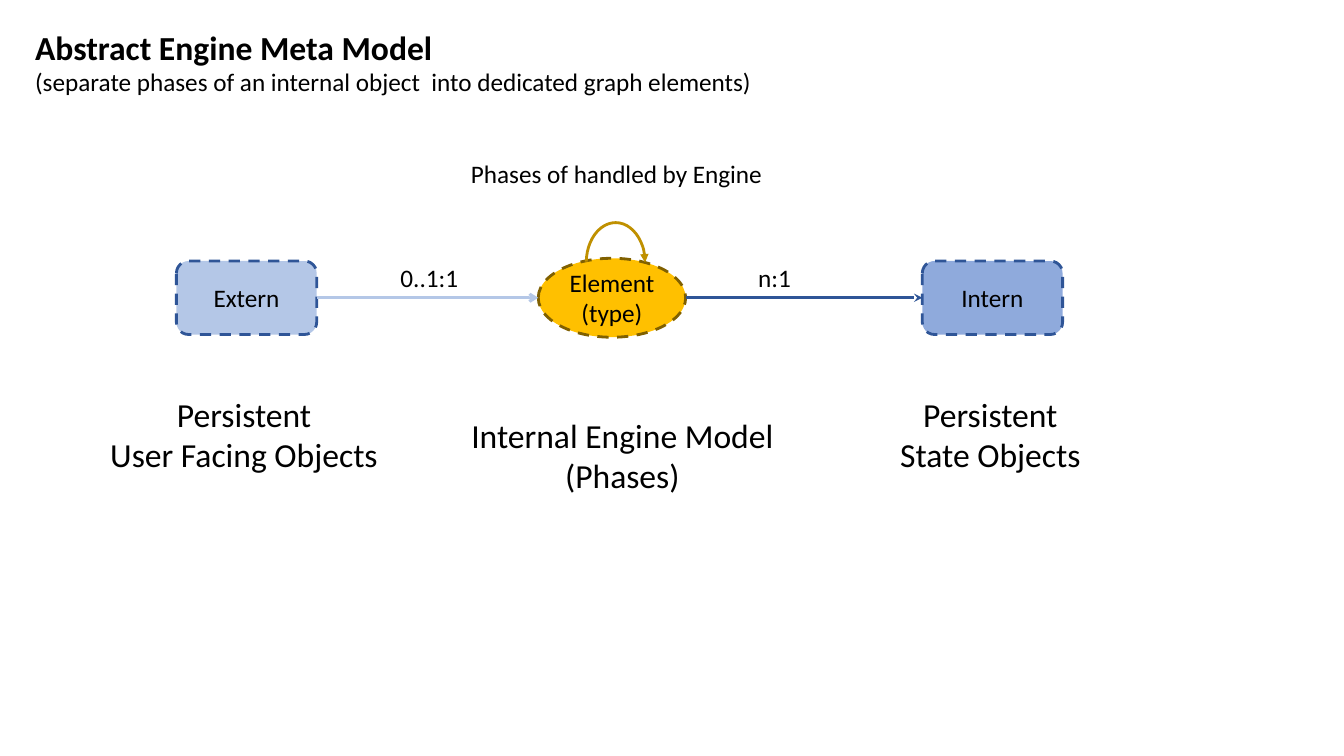
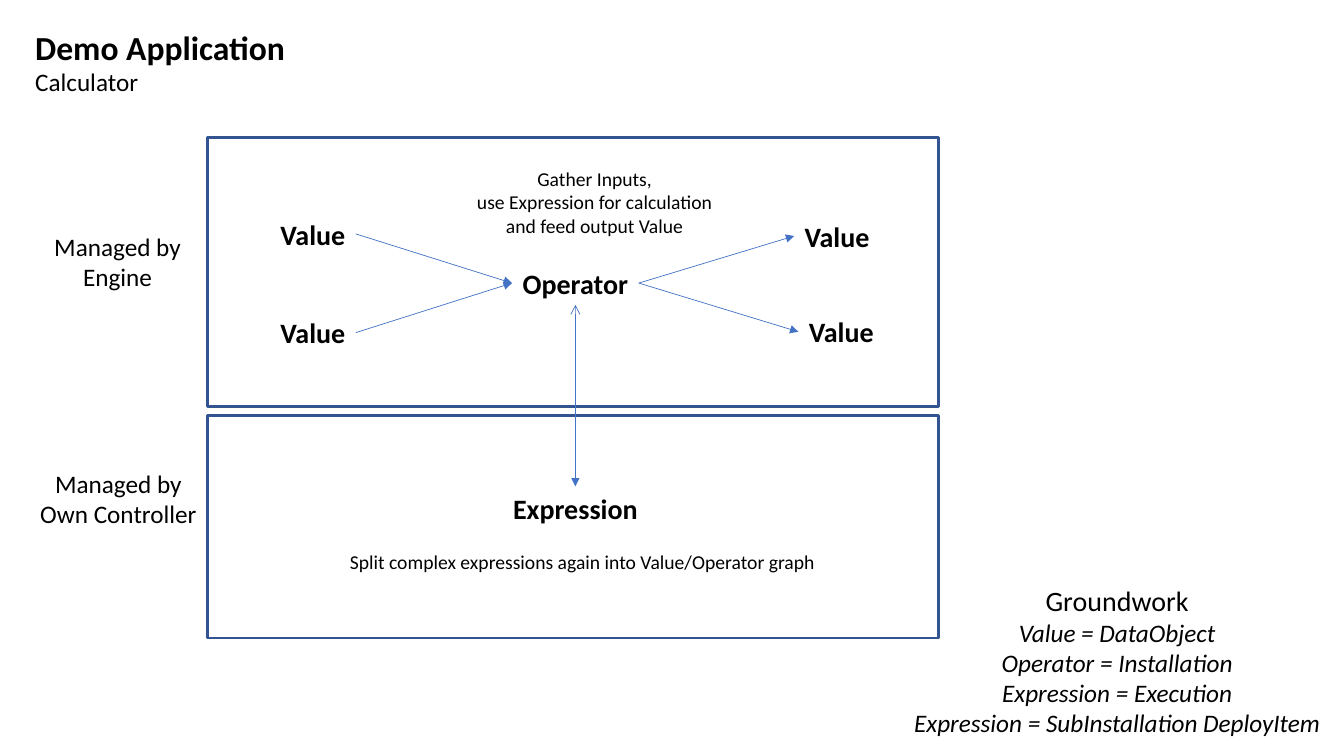
from pptx import Presentation
from pptx.dml.color import RGBColor
from pptx.enum.dml import MSO_LINE_DASH_STYLE as Dash
from pptx.enum.shapes import MSO_CONNECTOR, MSO_SHAPE as Form
from pptx.enum.text import MSO_ANCHOR, PP_ALIGN
from pptx.oxml.ns import qn
from pptx.util import Inches, Pt
from lxml.etree import SubElement

# Grid of 160 columns by 90 rows, twelve to the inch
COLUMNS, ROWS = 160, 90
TOP, LEFT, BOTTOM, RIGHT = range(4)

BLACK = RGBColor(0x00, 0x00, 0x00)
PALE_BLUE = RGBColor(0xB4, 0xC7, 0xE7)
MID_BLUE = RGBColor(0x8F, 0xAA, 0xDC)
DARK_BLUE = RGBColor(0x2F, 0x55, 0x97)
FRAME_BLUE = RGBColor(0x32, 0x54, 0x91)
ARROW_BLUE = RGBColor(0x44, 0x72, 0xC4)
AMBER = RGBColor(0xFF, 0xC0, 0x00)
BROWN = RGBColor(0x80, 0x60, 0x00)
GOLD = RGBColor(0xBF, 0x90, 0x00)


def grid(units):
    return Inches(units / 12)


class Deck:
    """Shared style and the slide being built; boxes are placed by centre."""

    font = "Calibri"
    heading, body = 24, 18

    def __init__(self):
        self.prs = Presentation()
        self.prs.slide_width, self.prs.slide_height = grid(COLUMNS), grid(ROWS)
        self.slide = None

    def new_slide(self, title, subtitle):
        self.slide = self.prs.slides.add_slide(self.prs.slide_layouts[6])
        header = self.label(f"{title}\n{subtitle}", COLUMNS / 2, 7.35, COLUMNS - 6)
        header.text_frame.word_wrap = True
        lines = header.text_frame.paragraphs
        for line in lines:
            line.alignment = PP_ALIGN.LEFT
        self.style(lines[0], self.heading, bold=True)

    def style(self, line, size, bold=False, italic=False):
        for run in line.runs:
            font = run.font
            font.name, font.size = self.font, Pt(size)
            font.bold, font.italic = bold, italic
            font.color.rgb = BLACK

    def fill_text(self, shape, text, size, bold=False, italic=False):
        frame = shape.text_frame
        frame.text = text
        frame.word_wrap = False
        frame.vertical_anchor = MSO_ANCHOR.MIDDLE
        for line in frame.paragraphs:
            line.alignment = PP_ALIGN.CENTER
            self.style(line, size, bold, italic)

    def label(self, text, col, row, cols, size=body, bold=False, italic=False):
        rows = 0.2 * size * len(text.split("\n")) + 1.2
        box = self.slide.shapes.add_textbox(
            grid(col - cols / 2), grid(row - rows / 2), grid(cols), grid(rows))
        self.fill_text(box, text, size, bold, italic)
        return box

    def outline(self, form, col, row, cols, rows, color, fill=None):
        shape = self.slide.shapes.add_shape(
            form, grid(col - cols / 2), grid(row - rows / 2), grid(cols), grid(rows))
        shape.shadow.inherit = False
        shape.line.color.rgb, shape.line.width = color, Pt(2)
        if fill is None:
            shape.fill.background()
        else:
            shape.fill.solid()
            shape.fill.fore_color.rgb = fill
        return shape

    def node(self, text, form, col, row, cols, rows, fill, color):
        shape = self.outline(form, col, row, cols, rows, color, fill)
        shape.line.dash_style = Dash.DASH
        frame = shape.text_frame
        frame.margin_left = frame.margin_right = 0
        frame.margin_top = frame.margin_bottom = 0
        self.fill_text(shape, text, self.body)
        return shape

    def loop(self, col, row, cols, rows, color):
        arc = self.outline(Form.ARC, col, row, cols, rows, color)
        arc.adjustments[0], arc.adjustments[1] = 108.95, 0
        self.tips(arc, tail="triangle")

    def tips(self, shape, head=None, tail=None):
        stroke = shape.element.spPr.find(qn("a:ln"))
        for tag, tip in (("a:headEnd", head), ("a:tailEnd", tail)):
            if tip:
                SubElement(stroke, qn(tag)).set("type", tip)

    def arrow(self, start, end, color=ARROW_BLUE, width=0.5, head=None, tail="triangle"):
        """Each end is a (shape, side) pair or a (column, row) point."""
        joined = [not isinstance(place[0], (int, float)) for place in (start, end)]
        (x1, y1), (x2, y2) = [(0, 0) if glue else place
                              for place, glue in zip((start, end), joined)]
        line = self.slide.shapes.add_connector(
            MSO_CONNECTOR.STRAIGHT, grid(x1), grid(y1), grid(x2), grid(y2))
        if joined[0]:
            line.begin_connect(*start)
        if joined[1]:
            line.end_connect(*end)
        line.line.color.rgb, line.line.width = color, Pt(width)
        self.tips(line, head, tail)
        SubElement(line.element.spPr, qn("a:effectLst"))


def meta_model(deck):
    deck.new_slide("Abstract Engine Meta Model",
                   "(separate phases of an internal object  into dedicated graph elements)")

    # Objects on one axis
    axis, middle, span = 35.45, 72.85, 17.55
    extern = deck.node("Extern", Form.ROUNDED_RECTANGLE, 29.35, axis, 16.7, 8.75,
                       PALE_BLUE, DARK_BLUE)
    intern = deck.node("Intern", Form.ROUNDED_RECTANGLE, 118.15, axis, 16.7, 8.75,
                       MID_BLUE, DARK_BLUE)
    deck.node("Element\n(type)", Form.OVAL, middle, axis, span, 9.4, AMBER, BROWN)

    # Relations
    deck.arrow((extern, RIGHT), (middle - span / 2, axis), PALE_BLUE, 2, tail="arrow")
    deck.arrow((middle + span / 2, axis), (intern, LEFT), DARK_BLUE, 2, tail="stealth")
    deck.loop(73.3, 31.25, 7, 9.5, GOLD)
    deck.label("0..1:1", 51.1, 33, 16)
    deck.label("n:1", 92.2, 33, 6.4)
    deck.label("Phases of handled by Engine", 73.4, 20.65, 37.5)

    # Roles
    for role, col, row, cols in (
            ("Persistent\nUser Facing Objects", 29.05, 51.65, 34.5),
            ("Internal Engine Model\n(Phases)", 74.1, 54.2, 38.75),
            ("Persistent\nState Objects", 117.9, 51.65, 24)):
        deck.label(role, col, row, cols, deck.heading)


def demo_application(deck):
    deck.new_slide("Demo Application", "Calculator")

    # Areas of responsibility
    for owner, col, row, cols, frame_row, frame_rows in (
            ("Managed by\nEngine", 14, 31.15, 17.65, 32.35, 32),
            ("Managed by\nOwn Controller", 14.1, 59.35, 21.25, 62.7, 26.5)):
        deck.outline(Form.RECTANGLE, 68.2, frame_row, 87, frame_rows, FRAME_BLUE)
        deck.label(owner, col, row, cols)

    # Calculation graph
    operator = deck.label("Operator", 68.5, 33.7, 15.1, 20, bold=True)
    expression = deck.label("Expression", 68.5, 60.5, 17.4, 20, bold=True)
    for col, row, is_input in ((37.25, 27.85, True), (37.25, 39.6, True),
                               (99.65, 28.1, False), (100.15, 39.5, False)):
        value = deck.label("Value", col, row, 10.2, 20, bold=True)
        source, target = (value, operator) if is_input else (operator, value)
        deck.arrow((source, RIGHT), (target, LEFT))
    deck.arrow((operator, BOTTOM), (expression, TOP), head="arrow")

    # Explanations
    deck.label("Gather Inputs,\nuse Expression for calculation\nand feed output Value",
               70.8, 24.05, 30.7, 14)
    deck.label("Split complex expressions again into Value/Operator graph",
               69.35, 66.85, 58.3, 14)

    # Mapping of terms
    mapping = deck.label(
        "Groundwork\nValue = DataObject\nOperator = Installation\n"
        "Expression = Execution\nExpression = SubInstallation DeployItem",
        133, 78.65, 51.25, italic=True)
    deck.style(mapping.text_frame.paragraphs[0], 20)


def main():
    deck = Deck()
    meta_model(deck)
    demo_application(deck)
    deck.prs.save("out.pptx")


if __name__ == "__main__":
    main()
